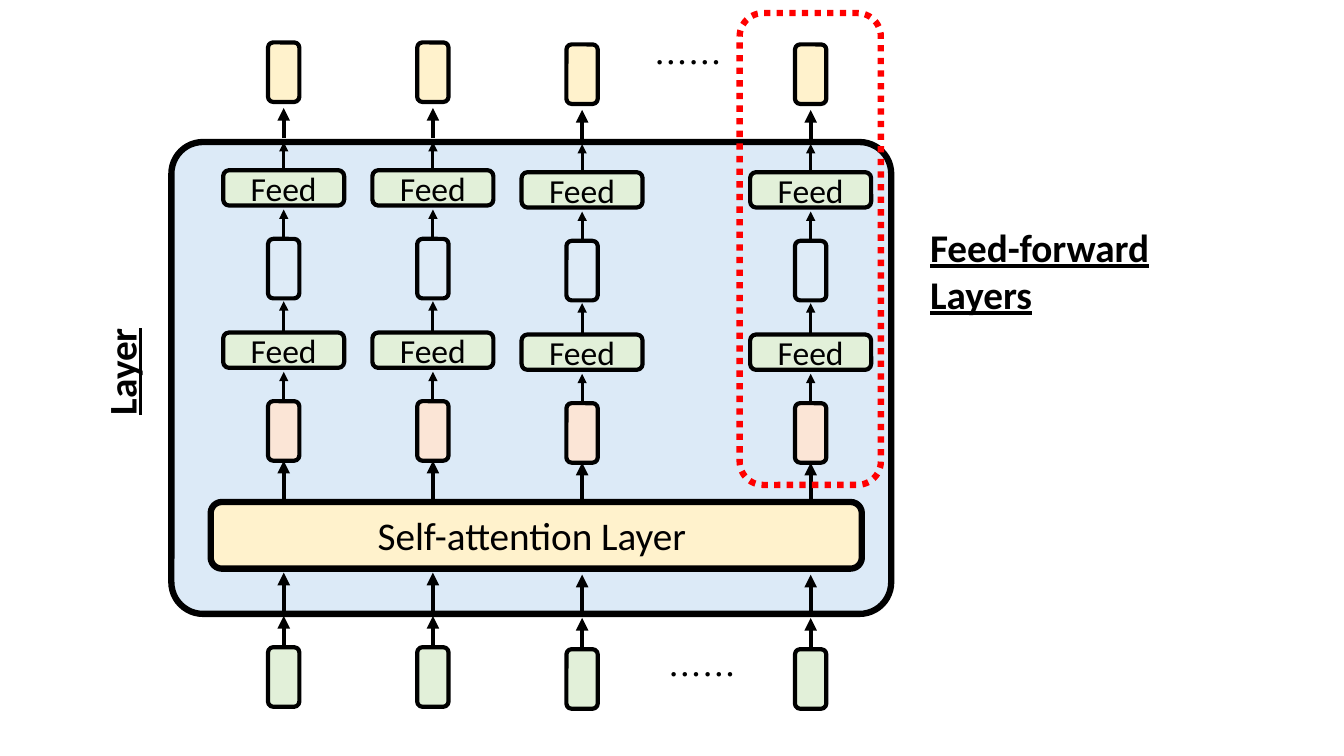
"""Build a slide showing a self-attention layer with position-wise feed-forward layers."""
from lxml.etree import SubElement
from pptx import Presentation
from pptx.dml.color import RGBColor
from pptx.enum.dml import MSO_LINE
from pptx.enum.shapes import MSO_CONNECTOR, MSO_SHAPE
from pptx.enum.text import MSO_ANCHOR, MSO_AUTO_SIZE, PP_ALIGN
from pptx.oxml.ns import qn
from pptx.util import Cm, Pt

BLACK = RGBColor(0x00, 0x00, 0x00)
RED = RGBColor(0xFF, 0x00, 0x00)
LAYER_BLUE = RGBColor(0xDC, 0xEA, 0xF7)
HIDDEN_BLUE = RGBColor(0xDE, 0xEB, 0xF7)
YELLOW = RGBColor(0xFF, 0xF2, 0xCC)
GREEN = RGBColor(0xE2, 0xF0, 0xD9)
ORANGE = RGBColor(0xFB, 0xE5, 0xD6)

COLUMNS = [(7.15, 0), (10.91, 0), (14.67, 0.05), (20.43, 0.05)]
VECTORS = [(1.07, YELLOW), (6.02, HIDDEN_BLUE), (10.11, ORANGE), (16.31, GREEN)]
FEED_TOPS = [4.29, 8.38]
ARROWS = [
    (16.28, 15.52, 3), (15.47, 14.43, 3), (12.65, 11.61, 3), (3.48, 2.72, 3),
    (10.11, 9.37, 2.25), (8.33, 7.59, 2.25), (6.02, 5.28, 2.25), (4.32, 3.58, 2.25),
]
VECTOR_WIDTH, VECTOR_HEIGHT = 0.79, 1.5
FEED_WIDTH, FEED_HEIGHT = 3.05, 0.89

presentation = Presentation()
presentation.slide_width = Cm(33.87)
presentation.slide_height = Cm(19.05)
slide = presentation.slides.add_slide(presentation.slide_layouts[6])


def write(shape, text, size, align=PP_ALIGN.CENTER, font_name="Calibri", heading=False):
    """Fill a shape with black text, bold and underlined for a heading."""
    shape.text_frame.word_wrap = True
    shape.text_frame.text = text
    for paragraph in shape.text_frame.paragraphs:
        paragraph.alignment = align
        for run in paragraph.runs:
            run.font.name = font_name
            run.font.size = Pt(size)
            run.font.color.rgb = BLACK
            run.font.bold = run.font.underline = heading
            SubElement(run.font._element, qn("a:ea"), typeface=font_name)


def add_box(left, top, width, height, fill, line_width=3, line_color=BLACK):
    """Add a rounded rectangle, left hollow when fill is None."""
    box = slide.shapes.add_shape(
        MSO_SHAPE.ROUNDED_RECTANGLE, Cm(left), Cm(top), Cm(width), Cm(height))
    box.shadow.inherit = False
    if fill is None:
        box.fill.background()
    else:
        box.fill.solid()
        box.fill.fore_color.rgb = fill
    box.line.color.rgb = line_color
    box.line.width = Pt(line_width)
    box.text_frame.vertical_anchor = MSO_ANCHOR.MIDDLE
    return box


layer_box = add_box(4.32, 3.58, 18.14, 11.89, LAYER_BLUE, 4.5)
layer_box.adjustments[0] = 0.067

attention_box = add_box(5.31, 12.65, 16.41, 1.68, YELLOW, 4.5)
write(attention_box, "Self-attention Layer ", 28)

for center, drop in COLUMNS:
    for top, color in VECTORS:
        add_box(center - VECTOR_WIDTH / 2, top + drop, VECTOR_WIDTH, VECTOR_HEIGHT, color)
    for top in FEED_TOPS:
        feed_box = add_box(center - FEED_WIDTH / 2, top + drop, FEED_WIDTH, FEED_HEIGHT, GREEN)
        write(feed_box, "Feed", 24)
    for start, end, width in ARROWS:
        arrow = slide.shapes.add_connector(
            MSO_CONNECTOR.STRAIGHT, Cm(center), Cm(start + drop), Cm(center), Cm(end + drop))
        arrow.line.color.rgb = BLACK
        arrow.line.width = Pt(width)
        SubElement(arrow.line._get_or_add_ln(), qn("a:tailEnd"), type="triangle")
        SubElement(arrow._element.spPr, qn("a:effectLst"))

add_box(18.64, 0.33, 3.56, 11.89, None, 4.5, RED).line.dash_style = MSO_LINE.ROUND_DOT

LABELS = [
    ("……", 15.21, 16.36, 4.98, 1.27, 24, PP_ALIGN.CENTER, "Noto Sans CJK SC", False, 0),
    ("……", 14.86, 0.94, 4.98, 1.27, 24, PP_ALIGN.CENTER, "Noto Sans CJK SC", False, 0),
    ("Layer", -0.08, 8.64, 6.27, 1.45, 28, PP_ALIGN.CENTER, "Calibri", True, 270),
    ("Feed-forward\nLayers", 23.19, 5.49, 7.85, 2.64, 28, PP_ALIGN.LEFT, "Calibri", True, 0),
]
for text, left, top, width, height, size, align, font_name, heading, rotation in LABELS:
    label = slide.shapes.add_textbox(Cm(left), Cm(top), Cm(width), Cm(height))
    label.rotation = rotation
    label.text_frame.auto_size = MSO_AUTO_SIZE.SHAPE_TO_FIT_TEXT
    write(label, text, size, align, font_name, heading)

presentation.save("out.pptx")
